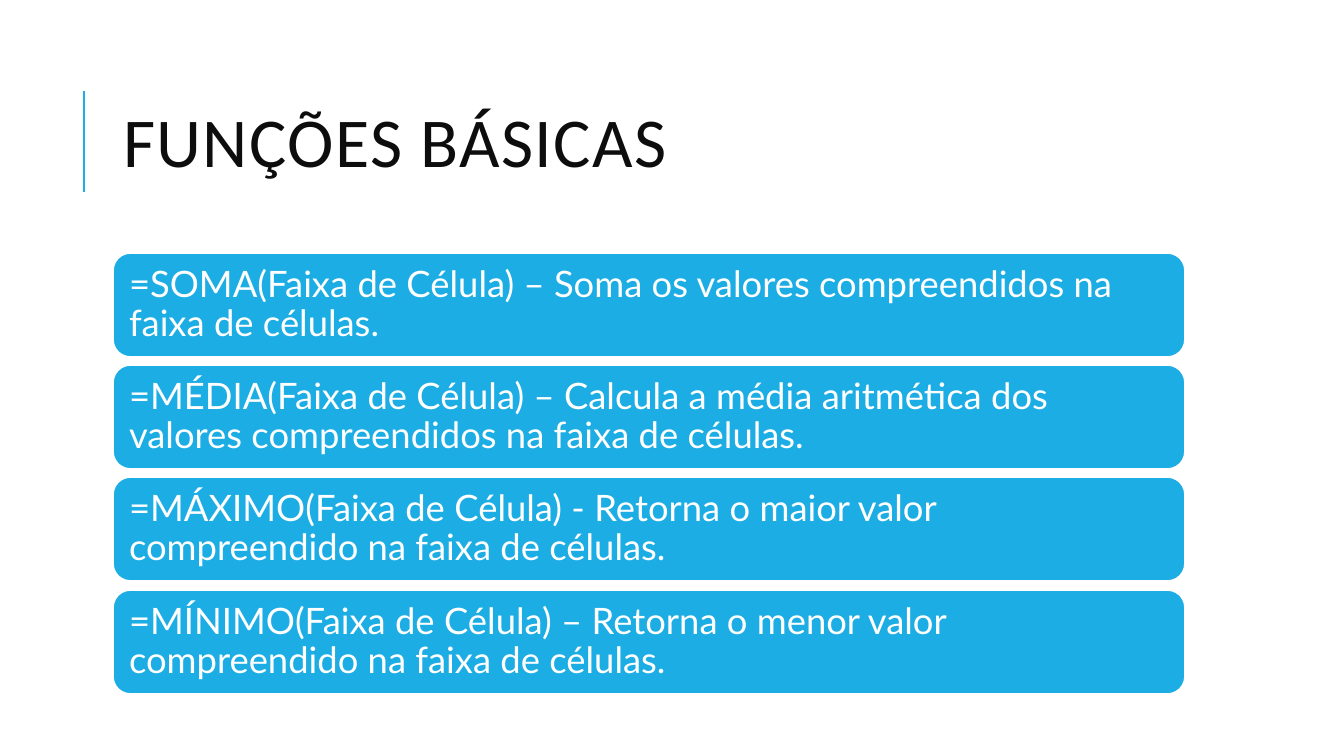
"""Builds a slide that lists the basic spreadsheet functions."""
import pptx
import pptx.util
import pptx.dml.color
import pptx.enum.shapes
import pptx.enum.text
import pptx.oxml.ns
from lxml import etree

COLOURS = {"accent": "1CADE4", "ink": "0D0D0D", "paper": "FFFFFF"}
SCALE = 12192000 / 1344
FUNCTIONS = [
    "=SOMA(Faixa de Célula) – Soma os valores compreendidos na faixa de células.",
    "=MÉDIA(Faixa de Célula) – Calcula a média aritmética dos valores compreendidos na faixa de células.",
    "=MÁXIMO(Faixa de Célula) - Retorna o maior valor compreendido na faixa de células.",
    "=MÍNIMO(Faixa de Célula) – Retorna o menor valor compreendido na faixa de células.",
]


def px(*lengths):
    return [pptx.util.Emu(round(length * SCALE)) for length in lengths]


def colour(name):
    return pptx.dml.color.RGBColor.from_string(COLOURS[name])


class Painter:
    def __init__(self, page):
        self.page = page

    def add_text(self, box, text, size, font, ink, leading):
        frame = box.text_frame
        frame.word_wrap = True
        frame.auto_size = pptx.enum.text.MSO_AUTO_SIZE.NONE
        frame.vertical_anchor = pptx.enum.text.MSO_ANCHOR.MIDDLE
        para = frame.paragraphs[0]
        para.alignment = pptx.enum.text.PP_ALIGN.LEFT
        para.line_spacing = leading
        span = para.add_run()
        span.text = text
        span.font.size = pptx.util.Pt(size)
        span.font.name = font
        span.font.color.rgb = colour(ink)
        return span

    def title(self, text, left, top, width, height):
        box = self.page.shapes.title
        box.left, box.top, box.width, box.height = px(left, top, width, height)
        span = self.add_text(box, text, 50, "Calibri", "ink", 0.8)
        span.font._element.set("spc", "100")

    def rule(self, x, top, bottom):
        line = self.page.shapes.add_connector(
            pptx.enum.shapes.MSO_CONNECTOR.STRAIGHT, *px(x, bottom, x, top))
        line.line.color.rgb = colour("accent")
        line.line.width = pptx.util.Pt(1.5)
        etree.SubElement(line._element.spPr, pptx.oxml.ns.qn("a:effectLst"))

    def card(self, text, left, top, width, height):
        box = self.page.shapes.add_shape(
            pptx.enum.shapes.MSO_SHAPE.ROUNDED_RECTANGLE, *px(left, top, width, height))
        box.shadow.inherit = False
        box.fill.solid()
        box.fill.fore_color.rgb = colour("accent")
        box.line.color.rgb = colour("paper")
        box.line.width = pptx.util.Pt(1.25)
        frame = box.text_frame
        inset, = px(11)
        frame.margin_left = frame.margin_right = inset
        frame.margin_top = frame.margin_bottom = inset
        self.add_text(box, text, 26, "Lato", "paper", 0.9)


deck = pptx.Presentation()
deck.slide_width, deck.slide_height = px(1344, 756)
painter = Painter(deck.slides.add_slide(deck.slide_layouts.get_by_name("Title Only")))
painter.rule(84, 91, 192)
painter.title("FUNÇÕES BÁSICAS", 113, 65, 1072, 165)
for row, function in enumerate(FUNCTIONS):
    painter.card(function, 113, 253 + 337 * row // 3, 1072, 104)
deck.save("out.pptx")
